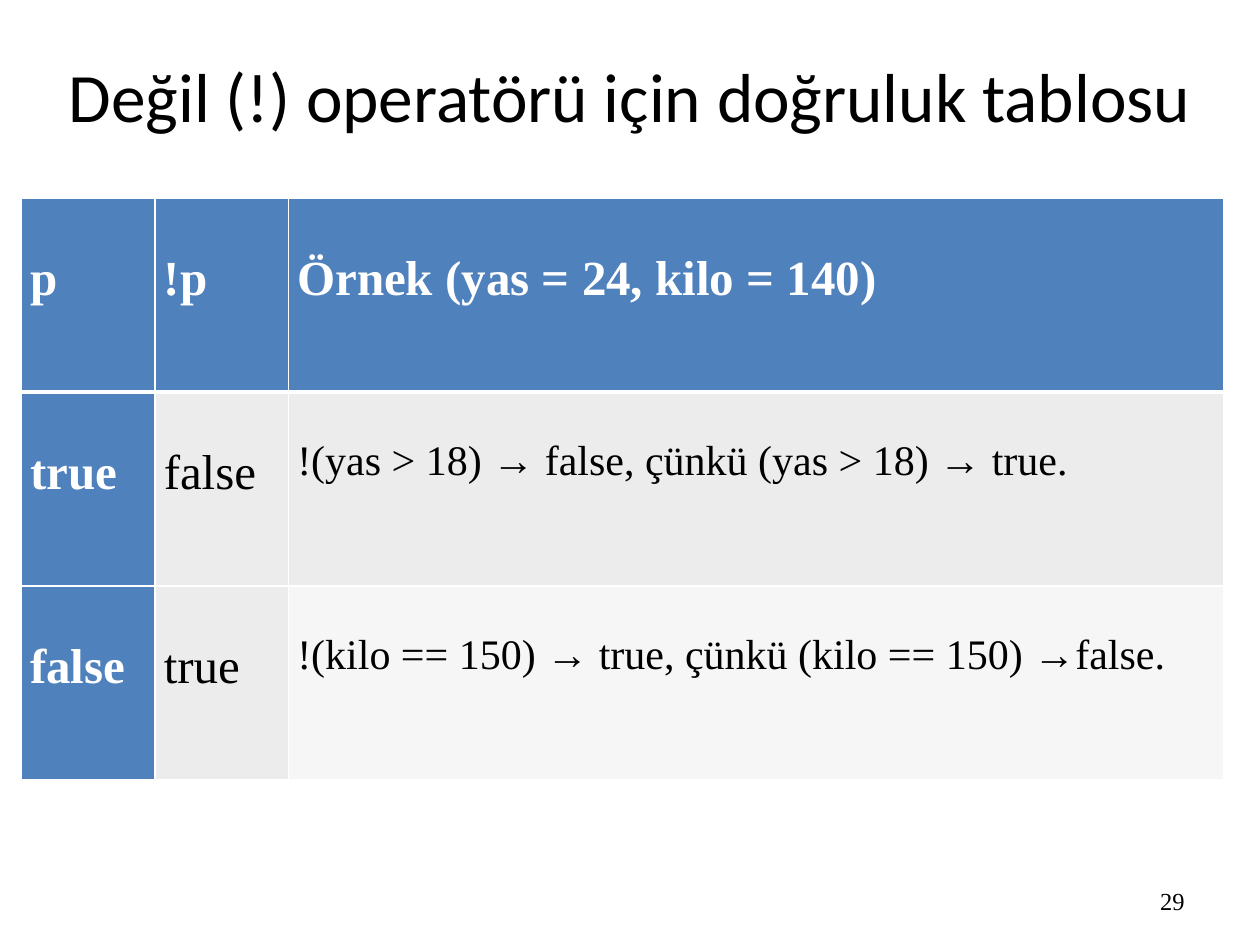
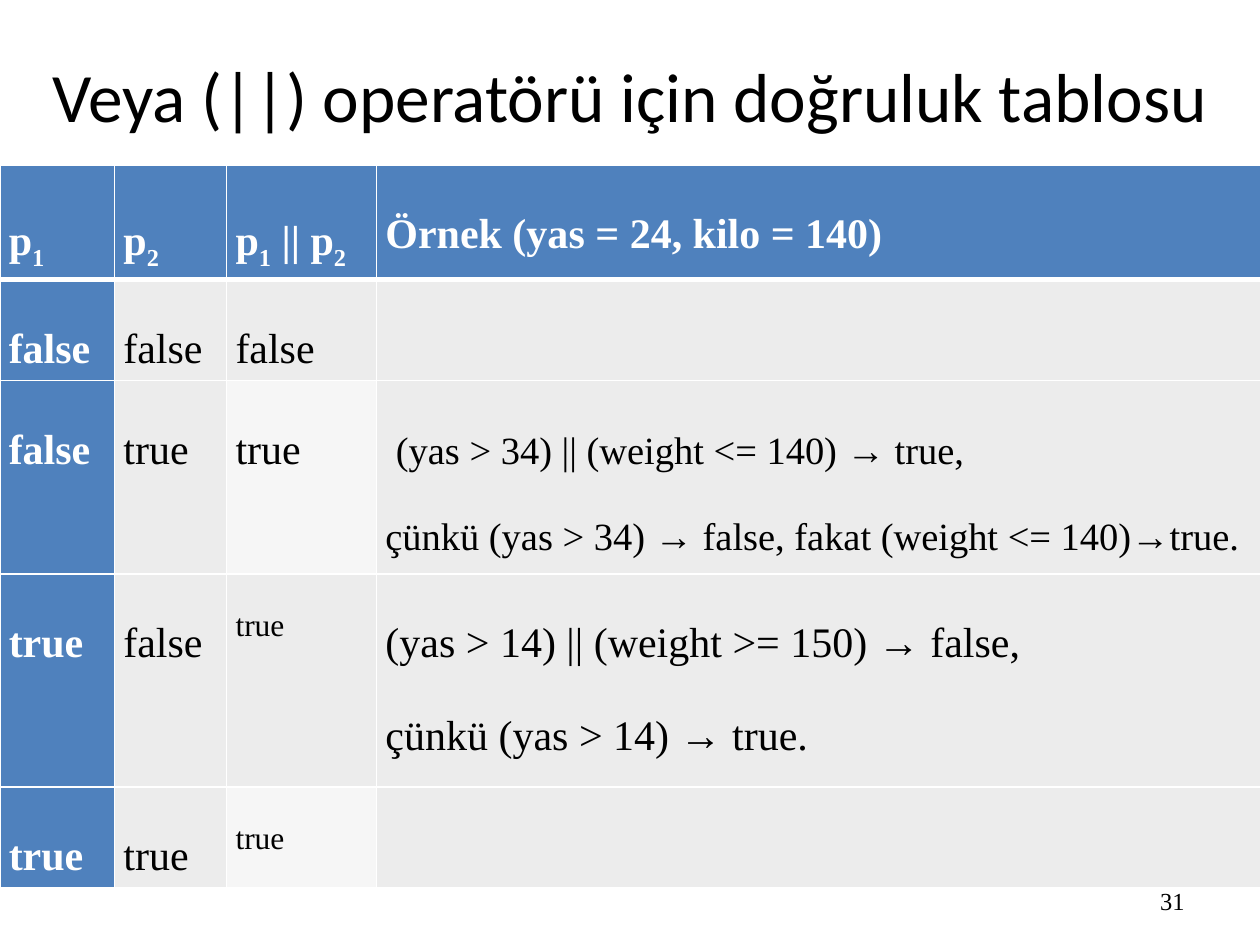
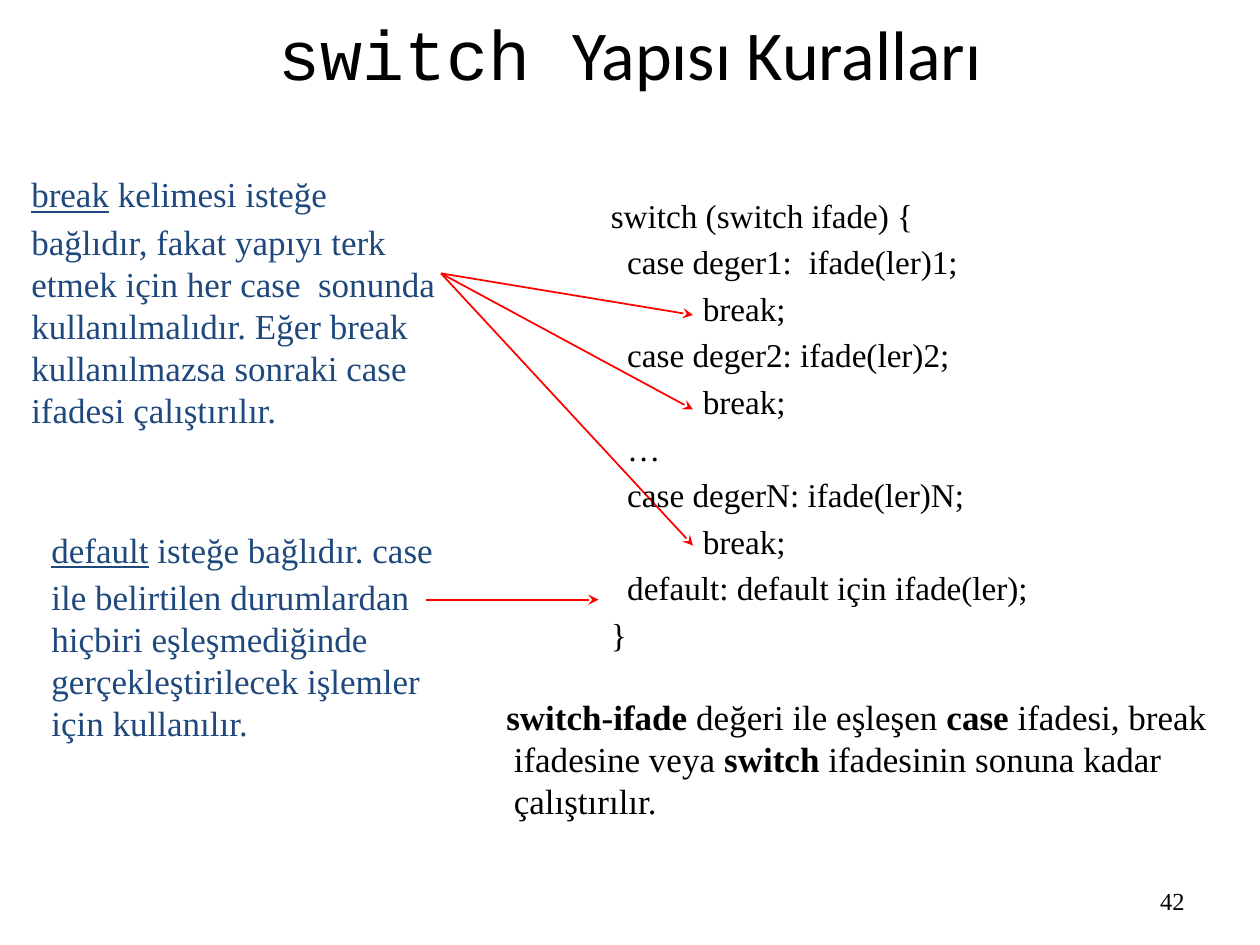
"""Build three lecture slides on logical operators and the switch statement."""
from dataclasses import dataclass
from typing import Optional

from lxml.etree import SubElement
from pptx import Presentation
from pptx.dml.color import RGBColor
from pptx.enum.shapes import MSO_CONNECTOR
from pptx.enum.text import MSO_ANCHOR, PP_ALIGN
from pptx.oxml.ns import qn
from pptx.util import Inches, Pt

BLACK, WHITE, RED, NAVY = "000000", "FFFFFF", "FF0000", "1F497D"
HEADER_BLUE, BAND_GREY, LIGHT_GREY = "4F81BD", "ECECEC", "F6F6F6"
SERIF, SANS, MONO = "Times New Roman", "Calibri", "Courier New"
SIDES = ("lnL", "lnR", "lnT", "lnB")


@dataclass(frozen=True)
class Run:
    """A piece of text and what sets it apart from its surroundings."""
    text: str
    size: Optional[float] = None
    font: str = SERIF
    bold: bool = False
    underline: bool = False
    baseline: int = 0


@dataclass(frozen=True)
class Box:
    """A rectangle on the slide, in inches."""
    left: float
    top: float
    width: float
    height: float

    def lengths(self) -> tuple:
        """Return the four measures as lengths."""
        return tuple(Inches(n) for n in (self.left, self.top, self.width, self.height))


@dataclass(frozen=True)
class TruthTable:
    """A truth table whose cells are lists of paragraphs made of runs."""
    title: str
    number: int
    box: Box
    columns: tuple
    rows: tuple
    size: float
    cells: list


@dataclass(frozen=True)
class Note:
    """A block of text with a hanging indent."""
    box: Box
    color: str
    runs: tuple


@dataclass(frozen=True)
class Arrow:
    """A straight arrow, in inches."""
    start: tuple
    end: tuple


def rgb(value: str) -> RGBColor:
    """Turn a hex string into a colour."""
    return RGBColor.from_string(value)


def write(paragraph, text: str, *, size: float, color: str = BLACK, font: str = SERIF,
          bold: bool = False, underline: bool = False, baseline: int = 0) -> None:
    """Add a formatted run to a paragraph."""
    run = paragraph.add_run()
    run.text = text
    run.font.size = Pt(size)
    run.font.name = font
    run.font.bold = bold
    run.font.underline = underline
    run.font.color.rgb = rgb(color)
    if baseline:
        run._r.get_or_add_rPr().set("baseline", str(baseline * 1000))


def write_runs(paragraph, runs, size: float, color: str, bold: bool = False) -> None:
    """Add several runs that share a size and a colour."""
    for run in runs:
        write(paragraph, run.text, size=run.size or size, color=color, font=run.font,
              bold=bold or run.bold, underline=run.underline, baseline=run.baseline)


def add_text_frame(slide, box: Box, anchor=MSO_ANCHOR.TOP):
    """Add a wrapping text box and return its frame."""
    frame = slide.shapes.add_textbox(*box.lengths()).text_frame
    frame.word_wrap = True
    frame.vertical_anchor = anchor
    return frame


def add_slide(presentation, title_box: Box, title: tuple, size: float, number: int):
    """Add a blank slide with its title and page number."""
    slide = presentation.slides.add_slide(presentation.slide_layouts[6])
    paragraph = add_text_frame(slide, title_box, MSO_ANCHOR.MIDDLE).paragraphs[0]
    paragraph.alignment = PP_ALIGN.CENTER
    write_runs(paragraph, title, size, BLACK)
    number_box = Box(7.17, 6.95, 2.33, 0.4)
    paragraph = add_text_frame(slide, number_box, MSO_ANCHOR.MIDDLE).paragraphs[0]
    paragraph.alignment = PP_ALIGN.RIGHT
    write(paragraph, str(number), size=14)
    return slide


def set_borders(cell, row: int) -> None:
    """Draw white cell borders, thick between the header and the body."""
    properties = cell._tc.get_or_add_tcPr()
    for index, side in enumerate(SIDES):
        thick = (row, side) in ((0, "lnB"), (1, "lnT"))
        line = properties.makeelement(qn(f"a:{side}"), {"w": str(Pt(3 if thick else 1))})
        fill = SubElement(line, qn("a:solidFill"))
        SubElement(fill, qn("a:srgbClr"), val=WHITE)
        properties.insert(index, line)


def fill_color(row: int, column: int) -> str:
    """Pick the fill of a truth table cell."""
    if row == 0 or column == 0:
        return HEADER_BLUE
    return LIGHT_GREY if row % 2 == 0 and column == 2 else BAND_GREY


def add_truth_table(presentation, spec_table: TruthTable) -> None:
    """Add a slide that shows one truth table."""
    slide = add_slide(presentation, Box(0, 0, 10, 1.5), (Run(spec_table.title, font=SANS),),
                      39.6, spec_table.number)
    table = slide.shapes.add_table(len(spec_table.rows), len(spec_table.columns),
                                   *spec_table.box.lengths()).table
    for column, width in zip(table.columns, spec_table.columns):
        column.width = Inches(width)
    for row, height in zip(table.rows, spec_table.rows):
        row.height = Inches(height)
    for row_index, row_cells in enumerate(spec_table.cells):
        for column_index, paragraphs in enumerate(row_cells):
            cell = table.cell(row_index, column_index)
            cell.margin_left = cell.margin_right = Inches(0.07)
            cell.margin_top = cell.margin_bottom = Inches(0)
            color = fill_color(row_index, column_index)
            cell.fill.solid()
            cell.fill.fore_color.rgb = rgb(color)
            set_borders(cell, row_index)
            strong = color == HEADER_BLUE
            for index, runs in enumerate(paragraphs):
                frame = cell.text_frame
                paragraph = frame.add_paragraph() if index else frame.paragraphs[0]
                paragraph.line_spacing = 2.0
                write_runs(paragraph, runs, spec_table.size, WHITE if strong else BLACK, strong)


def add_note(slide, note: Note) -> None:
    """Add a text block with a hanging indent."""
    paragraph = add_text_frame(slide, note.box).paragraphs[0]
    properties = paragraph._p.get_or_add_pPr()
    properties.set("marL", str(Inches(0.06)))
    properties.set("indent", str(-Inches(0.06)))
    write_runs(paragraph, note.runs, 20, note.color)


def add_arrow(slide, arrow: Arrow) -> None:
    """Add a thin red arrow."""
    connector = slide.shapes.add_connector(
        MSO_CONNECTOR.STRAIGHT, *(Inches(n) for n in arrow.start + arrow.end))
    connector.line.color.rgb = rgb(RED)
    connector.line.width = Pt(1)
    SubElement(connector.line._get_or_add_ln(), qn("a:tailEnd"), type="stealth")
    SubElement(connector._element.spPr, qn("a:effectLst"))


def add_code(slide, box: Box, lines: tuple) -> None:
    """Add code lines, each with its indent in inches."""
    frame = add_text_frame(slide, box)
    for index, (indent, text) in enumerate(lines):
        paragraph = frame.add_paragraph() if index else frame.paragraphs[0]
        paragraph.space_before = Pt(3.8)
        paragraph._p.get_or_add_pPr().set("marL", str(Inches(indent)))
        write(paragraph, text, size=19)


def plain(text: str, size: Optional[float] = None) -> list:
    """Return cell content with one run in each line of the text."""
    return [[Run(line, size)] for line in text.split("\n")]


def subscript(digit: str) -> Run:
    """Return a lowered digit."""
    return Run(digit, baseline=-25)


EXAMPLE = "Örnek (yas = 24, kilo = 140)"

NOT_TABLE = TruthTable(
    "Değil (!) operatörü için doğruluk tablosu", 29, Box(0.17, 1.57, 9.53, 4.62),
    (1.06, 1.06, 7.42), (1.54,) * 3, 28,
    [
        [plain("p"), plain("!p"), plain(EXAMPLE)],
        [plain("true"), plain("false"),
         plain("!(yas > 18) → false, çünkü (yas > 18) → true.", 24)],
        [plain("false"), plain("true"),
         plain("!(kilo == 150) → true, çünkü (kilo == 150) →false.", 24)],
    ])

OR_TABLE = TruthTable(
    "Veya (||) operatörü için doğruluk tablosu", 31, Box(0, 1.31, 10, 5.62),
    (0.91, 0.89, 1.19, 7.02), (0.8, 0.8, 1.47, 1.69, 0.8), 24,
    [
        [[[Run("p"), subscript("1")]], [[Run("p"), subscript("2")]],
         [[Run("p"), subscript("1"), Run(" || p"), subscript("2")]], plain(EXAMPLE)],
        [plain("false"), plain("false"), plain("false"), []],
        [plain("false"), plain("true"), plain("true"),
         [[Run(" "), Run("(yas > 34) || (weight <= 140) → true,", 22)],
          [Run("çünkü (yas > 34) → false, fakat (weight <= 140)→true.", 22)]]],
        [plain("true"), plain("false"), plain("true", 18),
         plain("(yas > 14) || (weight >= 150) → false,\nçünkü (yas > 14) → true.")],
        [plain("true"), plain("true"), plain("true", 18), []],
    ])

BREAK_NOTE = Note(Box(0.09, 1.1, 3.53, 2.25), NAVY, (
    Run("\t", 36), Run("break", underline=True),
    Run(" kelimesi isteğe bağlıdır, fakat yapıyı terk etmek için her case  sonunda "
        "kullanılmalıdır. Eğer break kullanılmazsa sonraki case ifadesi çalıştırılır.")))
DEFAULT_NOTE = Note(Box(0.25, 3.92, 3.36, 2.27), NAVY, (
    Run("\t", 36, "DejaVu Sans Mono"), Run("default", underline=True),
    Run(" isteğe bağlıdır. case ile belirtilen durumlardan hiçbiri eşleşmediğinde "
        "gerçekleştirilecek işlemler için kullanılır.")))
SWITCH_NOTE = Note(Box(3.92, 5.47, 5.83, 1.44), BLACK, (
    Run("switch-ifade ", bold=True), Run("değeri ile eşleşen "), Run("case ", bold=True),
    Run("ifadesi, break ifadesine veya "), Run("switch ", bold=True),
    Run("ifadesinin sonuna kadar çalıştırılır.")))

BREAK_START = (3.5, 2.17)
ARROWS = tuple(Arrow(BREAK_START, (5.5, y)) for y in (2.5, 3.25, 4.33)) + (
    Arrow((3.38, 4.76), (4.75, 4.76)),)

CASE_INDENT, BREAK_INDENT = 0.13, 0.73
BREAK_LINE = (BREAK_INDENT, "break;")
CODE_LINES = (
    (0, "switch (switch ifade) {"),
    (CASE_INDENT, "case deger1:  ifade(ler)1;"),
    BREAK_LINE,
    (CASE_INDENT, "case deger2: ifade(ler)2;"),
    BREAK_LINE,
    (CASE_INDENT, "…"),
    (CASE_INDENT, "case degerN: ifade(ler)N;"),
    BREAK_LINE,
    (CASE_INDENT, "default: default için ifade(ler);"),
    (0, "}"),
)


def add_switch_rules(presentation) -> None:
    """Add the slide on the rules of the switch statement."""
    title = (Run("switch ", font=MONO), Run("Yapısı Kuralları", font=SANS))
    slide = add_slide(presentation, Box(0.75, 0, 8.5, 0.83), title, 40, 42)
    for arrow in ARROWS:
        add_arrow(slide, arrow)
    for note in (BREAK_NOTE, DEFAULT_NOTE, SWITCH_NOTE):
        add_note(slide, note)
    add_code(slide, Box(4.75, 1.5, 4, 4.17), CODE_LINES)


def main() -> None:
    """Build and save the presentation."""
    presentation = Presentation()
    presentation.slide_width = Inches(10)
    presentation.slide_height = Inches(7.5)
    for truth_table in (NOT_TABLE, OR_TABLE):
        add_truth_table(presentation, truth_table)
    add_switch_rules(presentation)
    presentation.save("out.pptx")


if __name__ == "__main__":
    main()
